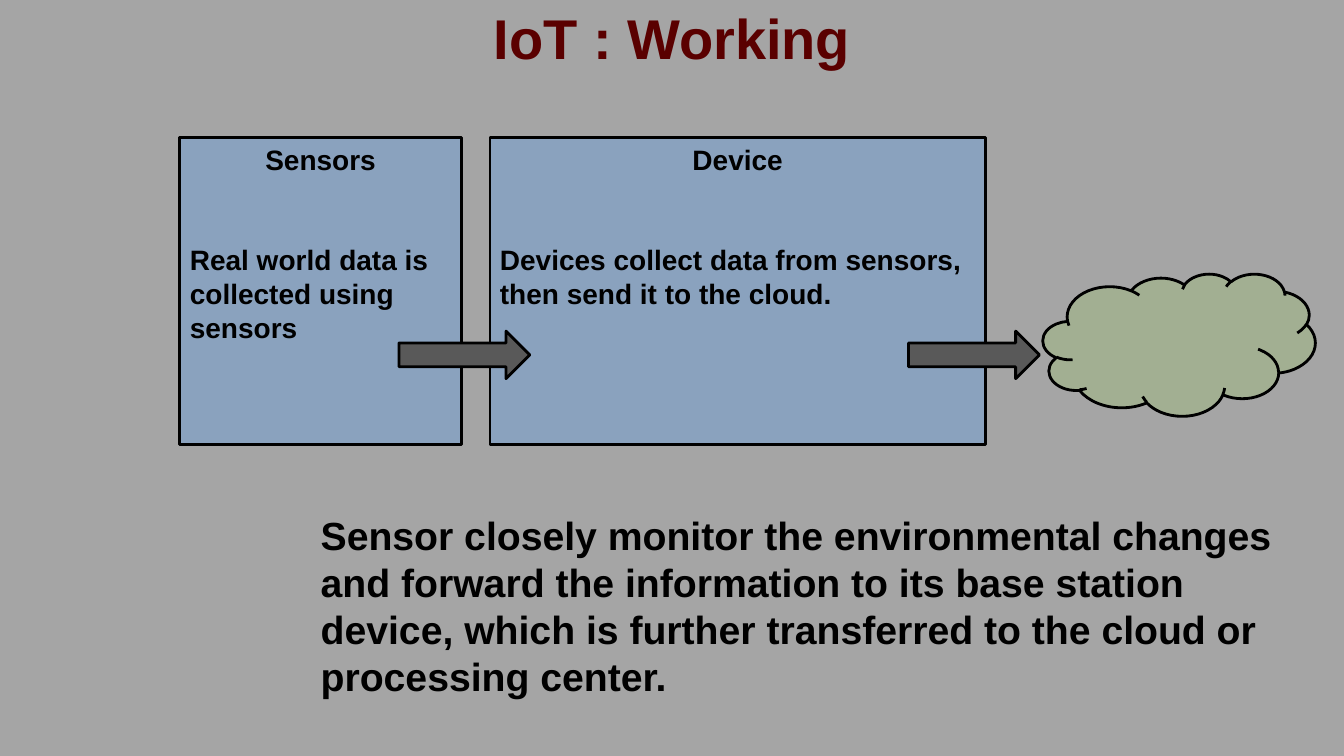
from dataclasses import dataclass

from pptx import Presentation
from pptx.dml.color import RGBColor
from pptx.enum.shapes import MSO_SHAPE
from pptx.enum.text import MSO_ANCHOR, PP_ALIGN
from pptx.util import Pt


@dataclass(frozen=True)
class Theme:
    font: str = "Arial"
    background: str = "A5A5A5"
    title: str = "5A0000"
    ink: str = "000000"
    box: str = "8AA2BE"
    arrow: str = "595959"
    cloud: str = "A2AF92"
    title_size: int = 40
    body_size: int = 28
    box_size: int = 20


theme = Theme()


def add_text(tf, text, size, color=theme.ink, align=PP_ALIGN.LEFT, after=0, line=None):
    """Fill the frame's empty first paragraph, or append a new one."""
    p = tf.paragraphs[0] if not tf.text else tf.add_paragraph()
    p.alignment = align
    p.space_after = Pt(after)
    if line:
        p.line_spacing = line
    r = p.add_run()
    r.text = text
    r.font.name = theme.font
    r.font.size = Pt(size)
    r.font.bold = True
    r.font.color.rgb = RGBColor.from_string(color)


def add_block(kind, left, top, width, height, fill):
    sp = s.shapes.add_shape(kind, Pt(left), Pt(top), Pt(width), Pt(height))
    sp.shadow.inherit = False
    sp.fill.solid()
    sp.fill.fore_color.rgb = RGBColor.from_string(fill)
    sp.line.color.rgb = RGBColor.from_string(theme.ink)
    sp.line.width = Pt(2)
    return sp


prs = Presentation()
prs.slide_width, prs.slide_height = Pt(960), Pt(540)
s = prs.slides.add_slide(prs.slide_layouts[6])
s.background.fill.solid()
s.background.fill.fore_color.rgb = RGBColor.from_string(theme.background)

# Title
tf = s.shapes.add_textbox(0, Pt(3), Pt(960), Pt(53)).text_frame
tf.word_wrap = True
tf.vertical_anchor = MSO_ANCHOR.MIDDLE
tf.margin_left = tf.margin_top = tf.margin_right = tf.margin_bottom = 0
add_text(tf, "IoT : Working", theme.title_size, theme.title, PP_ALIGN.CENTER, line=0.9)

# Explanation
tf = s.shapes.add_textbox(Pt(222), Pt(361.5), Pt(726), Pt(145.5)).text_frame
tf.word_wrap = True
add_text(
    tf,
    "Sensor closely monitor the environmental changes and forward the information "
    "to its base station device, which is further transferred to the cloud or "
    "processing center.",
    theme.body_size,
)

# Stages
stages = [
    (128.5, 201, "Sensors", "Real world data is collected using sensors"),
    (350, 354, "Device", "Devices collect data from sensors, then send it to the cloud."),
]
for left, width, heading, detail in stages:
    tf = add_block(MSO_SHAPE.RECTANGLE, left, 98, width, 219.5, theme.box).text_frame
    tf.word_wrap = True
    tf.vertical_anchor = MSO_ANCHOR.TOP
    add_text(tf, heading, theme.box_size, align=PP_ALIGN.CENTER, after=48)
    add_text(tf, detail, theme.box_size)

# Data flow to the cloud
add_block(MSO_SHAPE.CLOUD, 745, 195.5, 194.5, 101.5, theme.cloud)
for left in (285, 649):
    add_block(MSO_SHAPE.RIGHT_ARROW, left, 236.5, 93.5, 34, theme.arrow)

prs.save("out.pptx")
